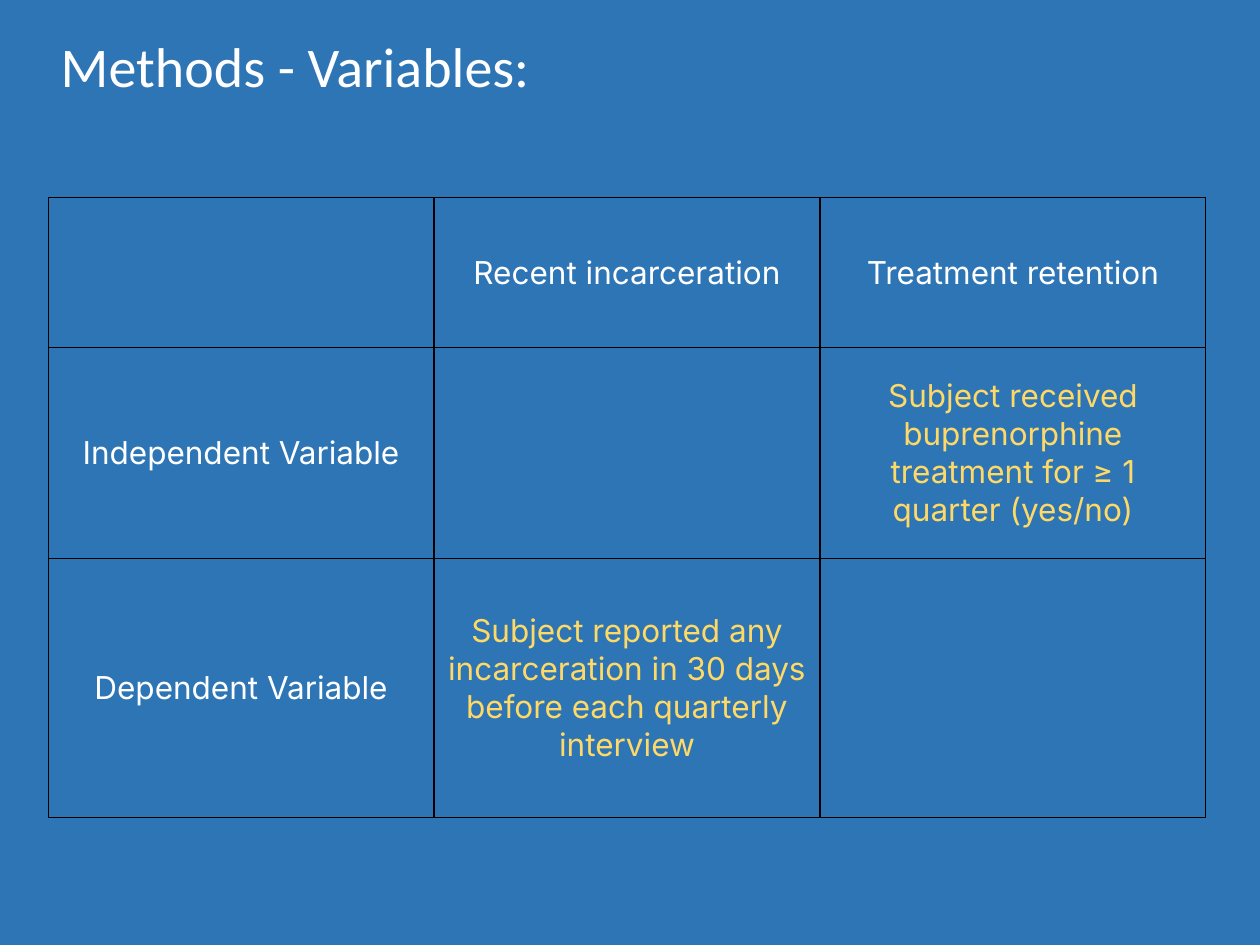
from lxml.etree import SubElement
from pptx import Presentation
from pptx.dml.color import RGBColor
from pptx.enum.text import MSO_ANCHOR as Anchor, PP_ALIGN as Align
from pptx.oxml.ns import qn
from pptx.util import Cm, Pt

TITLE = "Methods - Variables:"
ROWS = [
    ["", "Recent incarceration", "Treatment retention"],
    ["Independent Variable", "",
     "Subject received buprenorphine treatment for ≥ 1 quarter (yes/no)"],
    ["Dependent Variable",
     "Subject reported any incarceration in 30 days before each quarterly interview", ""],
]
ROW_HEIGHTS = [3.02, 4.24, 5.23]
COLUMN_WIDTH = 7.78
LEFT = 0.97
BLUE, WHITE, YELLOW, BLACK = "2E75B6", "FFFFFF", "FFD966", "000000"


def paint(fill, color):
    fill.solid()
    fill.fore_color.rgb = RGBColor.from_string(color)


def style(paragraph, font_name, size, color, align):
    paragraph.alignment = align
    for run in paragraph.runs:
        run.font.name = font_name
        run.font.size = Pt(size)
        paint(run.font.fill, color)


def add_borders(cell, color, width):
    properties = cell._tc.get_or_add_tcPr()
    for position, side in enumerate(("a:lnL", "a:lnR", "a:lnT", "a:lnB")):
        border = properties.makeelement(qn(side), {"w": str(Pt(width))})
        fill = SubElement(border, qn("a:solidFill"))
        SubElement(fill, qn("a:srgbClr"), val=color)
        properties.insert(position, border)


def add_title(slide):
    title = slide.shapes.title
    title.left, title.top, title.width, title.height = Cm(LEFT), Cm(0.51), Cm(24.43), Cm(1.63)
    title.text_frame.text = TITLE
    title.text_frame.vertical_anchor = Anchor.TOP
    style(title.text_frame.paragraphs[0], "Calibri", 32, WHITE, Align.LEFT)


def add_variables(slide):
    columns = len(ROWS[0])
    variables = slide.shapes.add_table(
        len(ROWS), columns, Cm(LEFT), Cm(3.99),
        Cm(COLUMN_WIDTH * columns), Cm(sum(ROW_HEIGHTS))).table
    for column in variables.columns:
        column.width = Cm(COLUMN_WIDTH)
    for r, (height, texts) in enumerate(zip(ROW_HEIGHTS, ROWS)):
        variables.rows[r].height = Cm(height)
        for c, text in enumerate(texts):
            cell = variables.cell(r, c)
            cell.fill.background()
            add_borders(cell, BLACK, 0.75)
            cell.vertical_anchor = Anchor.MIDDLE
            cell.text_frame.text = text
            color = YELLOW if r and c else WHITE
            style(cell.text_frame.paragraphs[0], "Inter", 18, color, Align.CENTER)


def main():
    """Build the slide that defines the study variables."""
    deck = Presentation()
    deck.slide_width, deck.slide_height = Cm(25.4), Cm(19.05)
    slide = deck.slides.add_slide(deck.slide_layouts[5])
    paint(slide.background.fill, BLUE)
    add_title(slide)
    add_variables(slide)
    deck.save("out.pptx")


if __name__ == "__main__":
    main()
